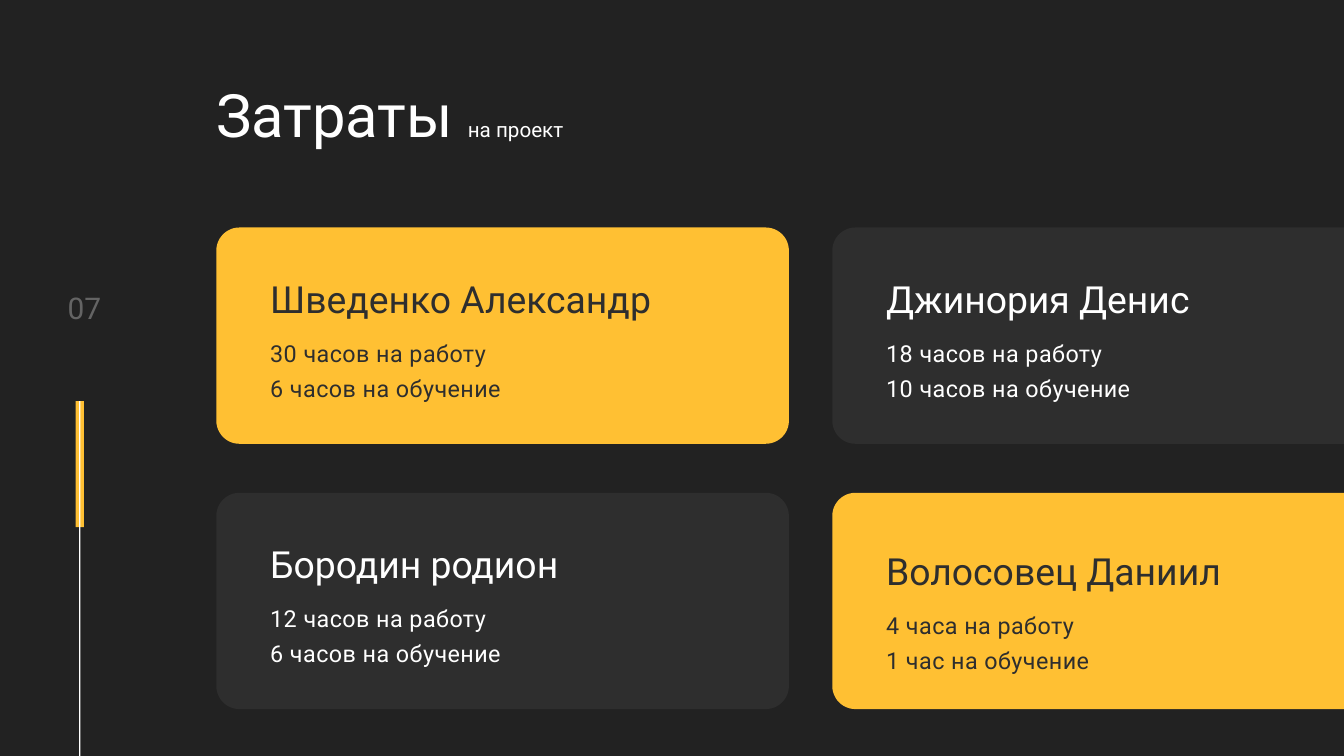
from lxml.etree import SubElement
from pptx import Presentation
from pptx.dml.color import RGBColor
from pptx.enum.shapes import MSO_SHAPE
from pptx.enum.text import MSO_ANCHOR, MSO_AUTO_SIZE, PP_ALIGN
from pptx.oxml.ns import qn
from pptx.util import Emu, Pt

SCALE = 9525
BACKGROUND, YELLOW, GRAY, WHITE = "222222", "FFC033", "2E2E2E", "FFFFFF"
CARD_LEFT, CARD_TOP, CARD_WIDTH, CARD_HEIGHT = 309, 325, 818, 309
COLUMN_STEP, ROW_STEP, CARD_RADIUS = 880, 379, 33
CARDS = [
    ("Шведенко Александр", ["30 часов на работу", "6 часов на обучение"], YELLOW, 59),
    ("Джинория Денис", ["18 часов на работу", "10 часов на обучение"], GRAY, 59),
    ("Бородин родион", ["12 часов на работу", "6 часов на обучение"], GRAY, 59),
    ("Волосовец Даниил", ["4 часа на работу", "1 час на обучение"], YELLOW, 69),
]


def px(value):
    return Emu(value * SCALE)


def paint(fill, color):
    fill.solid()
    fill.fore_color.rgb = RGBColor.from_string(color)


def place(shape, left, top, width, height):
    shape.left, shape.top = px(left), px(top)
    shape.width, shape.height = px(width), px(height)
    shape._element.getparent().append(shape._element)


def add_block(slide, left, top, width, height, color, radius=0):
    preset = MSO_SHAPE.ROUNDED_RECTANGLE if radius else MSO_SHAPE.RECTANGLE
    block = slide.shapes.add_shape(preset, px(left), px(top), px(width), px(height))
    if radius:
        block.adjustments[0] = radius / min(width, height)
    block.shadow.inherit = False
    paint(block.fill, color)
    block.line.fill.background()


def write(shape, lines, color, leading, align=PP_ALIGN.LEFT, alpha=100, spacing=0):
    frame = shape.text_frame
    frame.word_wrap = True
    frame.auto_size = MSO_AUTO_SIZE.NONE
    frame.vertical_anchor = MSO_ANCHOR.TOP
    frame.margin_left = frame.margin_top = frame.margin_right = frame.margin_bottom = 0
    for index, line in enumerate(lines):
        paragraph = frame.add_paragraph() if index else frame.paragraphs[0]
        paragraph.alignment = align
        paragraph.line_spacing = Pt(leading)
        paragraph.space_before = paragraph.space_after = Pt(0)
        properties = paragraph._p.get_or_add_pPr()
        properties.set("marL", "0")
        properties.set("indent", "0")
        SubElement(properties, qn("a:buNone"))
        for text, size in line:
            run = paragraph.add_run()
            run.text = text
            run.font.name = "Roboto"
            run.font.size = Pt(size)
            run.font.bold = False
            paint(run.font.fill, color)
            if alpha < 100:
                tint = run._r.rPr.find(".//" + qn("a:srgbClr"))
                SubElement(tint, qn("a:alpha")).set("val", str(alpha * 1000))
            if spacing:
                run._r.rPr.set("spc", str(spacing))


def add_label(slide, left, top, width, height, text, size, color, **text_format):
    label = slide.shapes.add_textbox(px(left), px(top), px(width), px(height))
    write(label, [[(text, size)]], color, **text_format)


def add_rail(slide):
    add_block(slide, 108, 573, 12, 180, YELLOW)
    add_block(slide, 113, 573, 2, 610, WHITE)
    add_label(slide, 70, 422, 101, 47, "07", 32, WHITE,
              leading=32, align=PP_ALIGN.CENTER, alpha=30)


def add_title(slide):
    title = slide.shapes.title
    place(title, CARD_LEFT, 103, 1138, 109)
    write(title, [[("Затраты ", 64), ("на проект", 22.1)]], WHITE, leading=83.2)


def add_card(slide, position, hours_body):
    person, hours, color, text_offset = CARDS[position]
    row, column = divmod(position, 2)
    left = CARD_LEFT + column * COLUMN_STEP
    top = CARD_TOP + row * ROW_STEP
    text_left, text_top = left + 77, top + text_offset
    ink = GRAY if color == YELLOW else WHITE
    add_block(slide, left, top, CARD_WIDTH, CARD_HEIGHT, color, CARD_RADIUS)
    add_label(slide, text_left, text_top, 581, 70, person, 40, ink, leading=56)
    place(hours_body, text_left, text_top + 90, 581, 94)
    write(hours_body, [[(entry, 25)] for entry in hours], ink, leading=37.5, spacing=50)


def main():
    deck = Presentation()
    deck.slide_width, deck.slide_height = px(1920), px(1080)
    slide = deck.slides.add_slide(deck.slide_layouts.get_by_name("Comparison"))
    paint(slide.background.fill, BACKGROUND)
    add_rail(slide)
    add_title(slide)
    hours_bodies = list(slide.placeholders)[1:]
    for position, hours_body in enumerate(hours_bodies):
        add_card(slide, position, hours_body)
    deck.save("out.pptx")


if __name__ == "__main__":
    main()
